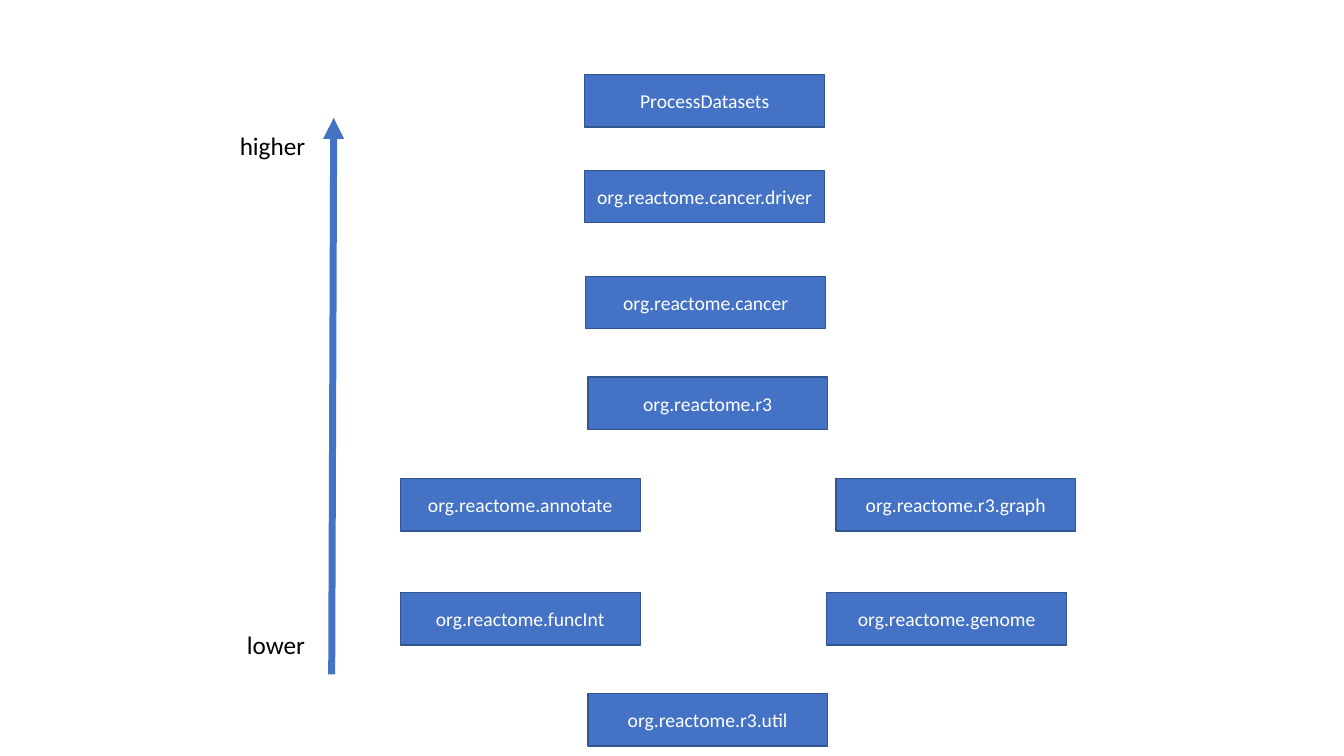
from typing import NamedTuple

from lxml import etree
from pptx import Presentation
from pptx import util as u
from pptx.dml import color
from pptx.enum import shapes, text
from pptx.oxml import ns
from pptx.slide import Slide
from pptx.text.text import TextFrame

COLORS = {"fill": "4472C4", "edge": "325491", "light": "FFFFFF", "dark": "000000"}
BOX_WIDTH, BOX_HEIGHT = u.Inches(2.38), u.Inches(0.52)
LABEL_HEIGHT = u.Inches(0.4)


class Package(NamedTuple):
    """A package box, with its top left corner in inches."""
    name: str
    left: float
    top: float


class Label(NamedTuple):
    """A label beside the level arrow, in inches."""
    name: str
    left: float
    top: float
    width: float


PACKAGES = [
    Package("ProcessDatasets", 5.8, 0.74),
    Package("org.reactome.cancer.driver", 5.8, 1.69),
    Package("org.reactome.cancer", 5.81, 2.74),
    Package("org.reactome.r3", 5.83, 3.74),
    Package("org.reactome.annotate", 3.97, 4.75),
    Package("org.reactome.r3.graph", 8.29, 4.75),
    Package("org.reactome.funcInt", 3.97, 5.88),
    Package("org.reactome.genome", 8.2, 5.88),
    Package("org.reactome.r3.util", 5.83, 6.88),
]
LABELS = [Label("higher", 2.28, 1.24, 0.86), Label("lower", 2.35, 6.19, 0.78)]


def rgb(name: str) -> color.RGBColor:
    """Return a named colour."""
    return color.RGBColor.from_string(COLORS[name])


def write(frame: TextFrame, words: str, size: int, shade: str) -> None:
    """Put one formatted line of text in a frame."""
    span = frame.paragraphs[0].add_run()
    span.text = words
    for key, value in {"name": "Calibri", "size": u.Pt(size)}.items():
        setattr(span.font, key, value)
    span.font.color.rgb = rgb(shade)


def draw_package(page: Slide, package: Package) -> None:
    """Draw a package as a filled box."""
    box = page.shapes.add_shape(
        shapes.MSO_SHAPE.RECTANGLE, u.Inches(package.left), u.Inches(package.top),
        BOX_WIDTH, BOX_HEIGHT)
    box.shadow.inherit = False
    box.fill.solid()
    box.fill.fore_color.rgb = rgb("fill")
    box.line.color.rgb = rgb("edge")
    box.line.width = u.Pt(1)
    box.text_frame.vertical_anchor = text.MSO_ANCHOR.MIDDLE
    box.text_frame.paragraphs[0].alignment = text.PP_ALIGN.CENTER
    write(box.text_frame, package.name, 14, "light")


def draw_label(page: Slide, label: Label) -> None:
    """Write a label at one end of the level arrow."""
    box = page.shapes.add_textbox(
        u.Inches(label.left), u.Inches(label.top), u.Inches(label.width), LABEL_HEIGHT)
    box.text_frame.word_wrap = False
    box.text_frame.auto_size = text.MSO_AUTO_SIZE.SHAPE_TO_FIT_TEXT
    write(box.text_frame, label.name, 18, "dark")


def draw_level_arrow(page: Slide) -> None:
    """Draw the arrow that points from lower to higher packages."""
    arrow = page.shapes.add_connector(
        shapes.MSO_CONNECTOR.STRAIGHT,
        u.Inches(3.29), u.Inches(6.69), u.Inches(3.31), u.Inches(1.17))
    arrow.line.color.rgb = rgb("fill")
    arrow.line.width = u.Pt(5)
    outline = arrow.line._get_or_add_ln()
    etree.SubElement(outline, ns.qn("a:tailEnd"), type="triangle")
    etree.SubElement(arrow._element.spPr, ns.qn("a:effectLst"))


def main() -> None:
    """Build and save the package hierarchy slide."""
    deck = Presentation()
    deck.slide_width, deck.slide_height = u.Inches(13.33), u.Inches(7.5)
    page = deck.slides.add_slide(deck.slide_layouts[6])
    for package in PACKAGES:
        draw_package(page, package)
    draw_level_arrow(page)
    for label in LABELS:
        draw_label(page, label)
    deck.save("out.pptx")


main()
